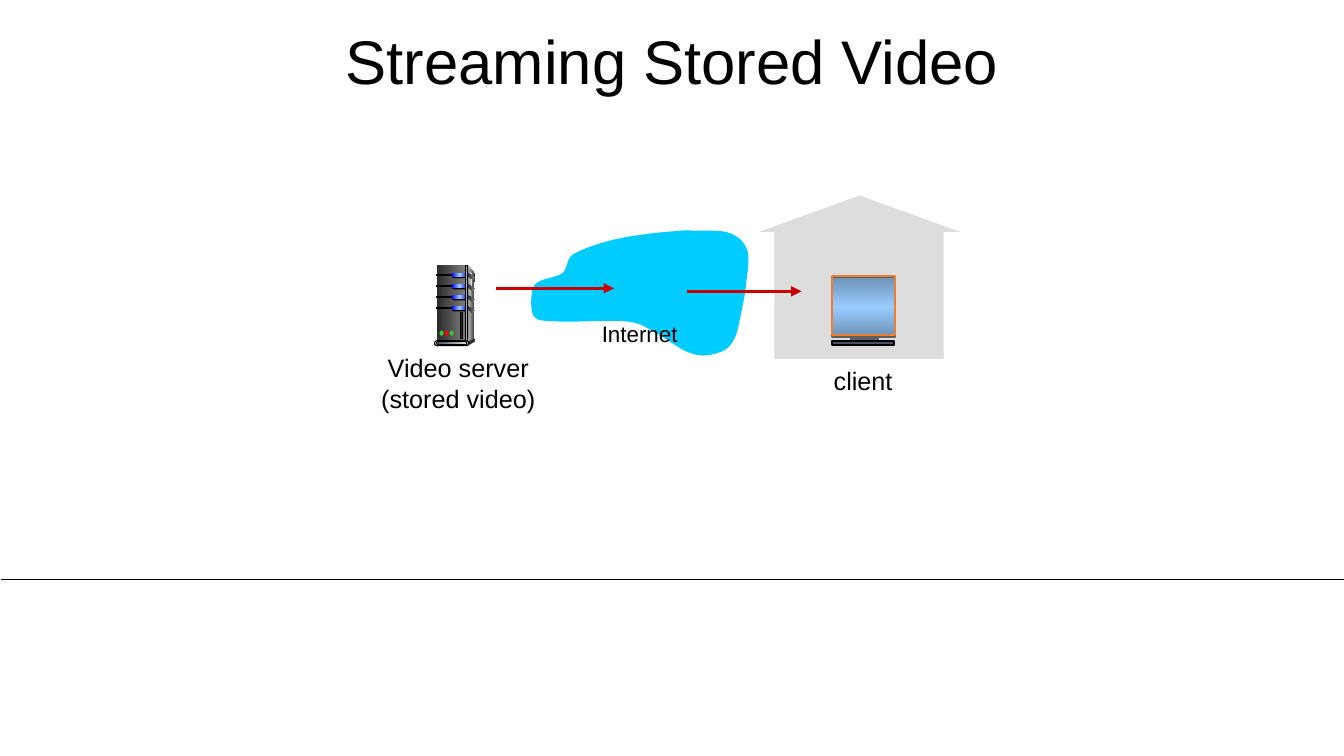
"""Build the slide on streaming stored video from a server to a client."""
from copy import deepcopy

from lxml import etree
from pptx import Presentation
from pptx import util as u
from pptx.dml.color import RGBColor
from pptx.enum import shapes, text
from pptx.oxml.ns import qn

PX = u.Inches(0.01)
FONT = "Arial"
BLACK = RGBColor(0x00, 0x00, 0x00)
COAL = RGBColor(0x29, 0x29, 0x29)
DARK = RGBColor(0x33, 0x33, 0x33)
STEEL = RGBColor(0x5F, 0x5F, 0x5F)
GRAY = RGBColor(0x80, 0x80, 0x80)
SILVER = RGBColor(0xDD, 0xDD, 0xDD)
PALE = RGBColor(0xF8, 0xF8, 0xF8)
SLATE = RGBColor(0x44, 0x54, 0x6A)
CREAM = RGBColor(0xE7, 0xE6, 0xE6)
BLUE = RGBColor(0x00, 0x00, 0xFF)
SKY = RGBColor(0x99, 0xCC, 0xFF)
DUSK = RGBColor(0x6D, 0x92, 0xB6)
CYAN = RGBColor(0x00, 0xCC, 0xFF)
GREEN = RGBColor(0x33, 0xCC, 0x33)
RED = RGBColor(0xFF, 0x00, 0x00)
CRIMSON = RGBColor(0xCC, 0x00, 0x00)
ORANGE = RGBColor(0xED, 0x7D, 0x31)

RECT = shapes.MSO_SHAPE.RECTANGLE
PILL = shapes.MSO_SHAPE.ROUNDED_RECTANGLE
OVAL = shapes.MSO_SHAPE.OVAL
ROOF = shapes.MSO_SHAPE.ISOSCELES_TRIANGLE

CLOUD_START = (662, 230)
CLOUD_CURVES = [
    [(649, 231), (624, 234), (608, 238)],
    [(592, 242), (578, 247), (569, 252)],
    [(561, 257), (564, 265), (558, 271)],
    [(551, 276), (535, 276), (530, 283)],
    [(526, 290), (526, 308), (529, 313)],
    [(533, 319), (538, 318), (554, 319)],
    [(569, 320), (606, 317), (622, 319)],
    [(639, 321), (641, 326), (652, 331)],
    [(662, 337), (675, 347), (684, 350)],
    [(694, 354), (702, 353), (709, 351)],
    [(716, 349), (722, 347), (726, 340)],
    [(731, 334), (733, 321), (735, 311)],
    [(737, 301), (739, 293), (740, 282)],
    [(741, 272), (744, 256), (741, 248)],
    [(738, 239), (731, 234), (723, 231)],
    [(714, 228), (699, 229), (689, 229)],
    [(679, 228), (676, 229), (662, 230)],
]


def paint(sp, fill, line=None, width=0.75, angle=0):
    """Fill with nothing, one colour or evenly spaced gradient colours, and outline."""
    sp.shadow.inherit = False
    if fill is None:
        sp.fill.background()
    elif isinstance(fill, list):
        sp.fill.gradient()
        sp.fill.gradient_angle = angle
        stops = sp._element.spPr.find(qn("a:gradFill")).find(qn("a:gsLst"))
        for _ in fill[2:]:
            stops.append(deepcopy(stops[0]))
        for i, (stop, color) in enumerate(zip(sp.fill.gradient_stops, fill)):
            stop.color.rgb = color
            stop.position = i / (len(fill) - 1)
    else:
        sp.fill.solid()
        sp.fill.fore_color.rgb = fill
    if line is None:
        sp.line.fill.background()
    else:
        sp.line.color.rgb = line
        sp.line.width = u.Pt(width)


def add_part(parent, kind, box, fill, line=None, width=0.75, angle=0):
    """Add a preset shape at box (left, top, width, height)."""
    sp = parent.add_shape(kind, *(v * PX for v in box))
    if kind == PILL:
        sp.adjustments[0] = 0.5
    paint(sp, fill, line, width, angle)


def add_outline(parent, points, fill):
    """Add a closed freeform through the points."""
    points = [(round(x * PX), round(y * PX)) for x, y in points]
    builder = parent.build_freeform(*points[0], scale=1.0)
    builder.add_line_segments(points[1:], close=True)
    paint(builder.convert_to_shape(), fill)


def trace_curves(start, curves, steps=12):
    """Return points along a chain of cubic curves."""
    points = [start]
    for a, b, end in curves:
        origin = points[-1]
        for i in range(1, steps + 1):
            t = i / steps
            weights = ((1 - t) ** 3, 3 * t * (1 - t) ** 2, 3 * t * t * (1 - t), t ** 3)
            points.append(tuple(sum(w * c for w, c in zip(weights, axis))
                                for axis in zip(origin, a, b, end)))
    return points


def add_line(s, x1, x2, y, color, width, arrow=False):
    """Add a level line, with an arrowhead at its end if asked."""
    cx = s.shapes.add_connector(shapes.MSO_CONNECTOR.STRAIGHT,
                                x1 * PX, y * PX, x2 * PX, y * PX)
    cx.line.color.rgb = color
    cx.line.width = u.Pt(width)
    spPr = cx._element.spPr
    if arrow:
        etree.SubElement(spPr.find(qn("a:ln")), qn("a:tailEnd"), type="triangle")
    etree.SubElement(spPr, qn("a:effectLst"))


def add_run(p, words, size):
    """Add a black run in the slide font."""
    r = p.add_run()
    r.text = words
    r.font.name = FONT
    r.font.size = u.Pt(size)
    r.font.color.rgb = BLACK


def add_label(s, box, lines, size, align=text.PP_ALIGN.LEFT):
    """Add an unwrapped caption, one paragraph per line."""
    tf = s.shapes.add_textbox(*(v * PX for v in box)).text_frame
    tf.word_wrap = False
    tf.auto_size = text.MSO_AUTO_SIZE.SHAPE_TO_FIT_TEXT
    for i, words in enumerate(lines):
        p = tf.add_paragraph() if i else tf.paragraphs[0]
        p.alignment = align
        add_run(p, words, size)


def set_title(s, words):
    """Place and format the title placeholder."""
    sp = s.shapes.title
    sp.left, sp.top, sp.width, sp.height = (v * PX for v in (92, 16, 1150, 97))
    tf = sp.text_frame
    tf.auto_size = text.MSO_AUTO_SIZE.NONE
    tf.vertical_anchor = text.MSO_ANCHOR.MIDDLE
    p = tf.paragraphs[0]
    p.alignment = text.PP_ALIGN.CENTER
    p.line_spacing = 0.9
    add_run(p, words, 44)


def add_house(s):
    """Draw the client's house."""
    house = s.shapes.add_group_shape().shapes
    add_part(house, ROOF, (753, 194, 199, 36), SILVER)
    add_part(house, RECT, (768, 230, 168, 126), SILVER)


def add_server(s):
    """Draw the server tower with its drive bays, vents and lights."""
    tower = s.shapes.add_group_shape().shapes
    add_outline(tower, [(464, 263), (471, 272), (470, 336), (463, 340)], [SILVER, DARK])
    add_part(tower, RECT, (433, 263, 30, 77), [COAL, GRAY])
    add_outline(tower, trace_curves((464, 267), [[(464, 267), (465, 268), (469, 274)],
                                                 [(464, 302), (465, 338), (464, 337)]]),
                [GRAY, PALE])
    for y in range(272, 306, 11):
        add_part(tower, RECT, (433, y, 17, 1), BLACK, BLACK)
        add_part(tower, PILL, (448, y - 1, 16, 5), BLACK)
        add_part(tower, PILL, (448, y - 1, 16, 4), [BLUE, SKY, BLUE])
    add_part(tower, RECT, (462, 263, 2, 77), [DARK, SILVER, DARK], BLACK)
    for y in range(271, 305, 11):
        add_outline(tower, [(464, y), (471, y + 4), (470, y + 7), (464, y + 3)],
                    [COAL, GRAY])
    add_part(tower, OVAL, (470, 336, 1, 3), DARK)
    add_outline(tower, [(464, 339), (464, 343), (471, 339), (470, 336)], DARK)
    add_part(tower, PILL, (431, 338, 34, 5), SILVER, BLACK)
    add_part(tower, PILL, (433, 339, 30, 3), [SLATE, CREAM], BLACK)
    for i, color in enumerate((GREEN, RED, GREEN)):
        add_part(tower, OVAL, (436 + 5 * i, 328, 4, 5), color)
    add_part(tower, RECT, (457, 310, 2, 26), COAL, BLACK)


def add_monitor(s):
    """Draw the client's screen on its stand."""
    monitor = s.shapes.add_group_shape().shapes
    add_part(monitor, RECT, (825, 275, 63, 59), [DUSK, SKY, DUSK], STEEL, 1.5, 90)
    add_part(monitor, RECT, (844, 334, 27, 4), STEEL, STEEL, 1.5)
    add_part(monitor, RECT, (825, 338, 62, 4), SLATE, BLACK, 1.5)
    add_part(monitor, RECT, (825, 274, 63, 58), None, ORANGE, 1.5)


def main():
    """Build and save the slide."""
    prs = Presentation()
    prs.slide_width, prs.slide_height = 1333 * PX, 750 * PX
    s = prs.slides.add_slide(prs.slide_layouts[5])
    set_title(s, "Streaming Stored Video")
    add_line(s, 1, 1333, 575, BLACK, 0.5)
    add_label(s, (367, 345, 175, 71), ("Video server", "(stored video)"), 18,
              text.PP_ALIGN.CENTER)
    add_house(s)
    add_server(s)
    add_monitor(s)
    add_outline(s.shapes, trace_curves(CLOUD_START, CLOUD_CURVES), CYAN)
    add_line(s, 492, 609, 286, CRIMSON, 2.5, arrow=True)
    add_line(s, 681, 795, 289, CRIMSON, 2.5, arrow=True)
    add_label(s, (817, 358, 81, 40), ("client",), 18)
    add_label(s, (587, 313, 98, 37), ("Internet",), 16)
    prs.save("out.pptx")


if __name__ == "__main__":
    main()
